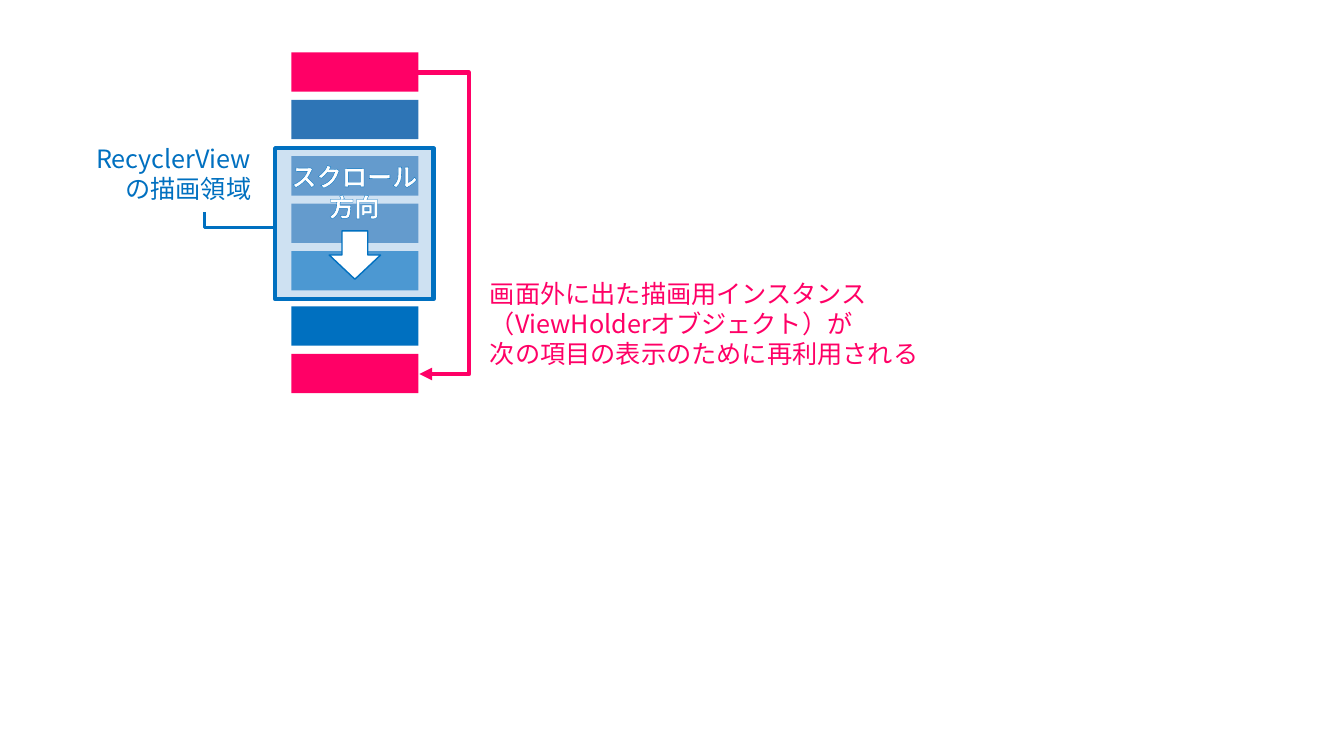
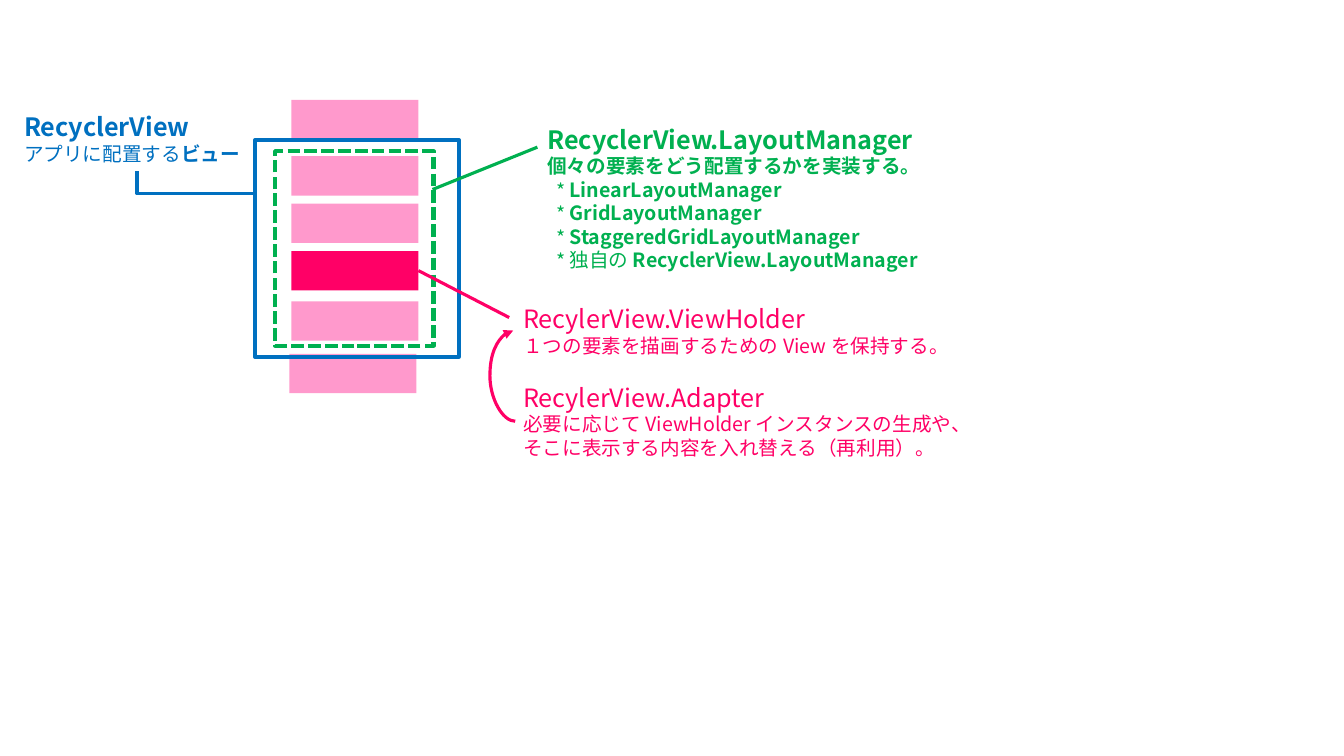
import pptx
import pptx.util
import pptx.dml.color
import pptx.enum.dml
import pptx.enum.shapes
import pptx.enum.text
import pptx.oxml.ns
import lxml.etree

Inches = pptx.util.Inches
Pt = pptx.util.Pt
RGBColor = pptx.dml.color.RGBColor
SHAPE = pptx.enum.shapes.MSO_SHAPE
LINK = pptx.enum.shapes.MSO_CONNECTOR
ALIGN = pptx.enum.text.PP_ALIGN
qn = pptx.oxml.ns.qn

FONT = "Noto Sans CJK JP"
BLUE = RGBColor(0x00, 0x70, 0xC0)
STEEL = RGBColor(0x2E, 0x75, 0xB6)
SKY = RGBColor(0x9D, 0xC3, 0xE6)
GREEN = RGBColor(0x00, 0xB0, 0x50)
RED = RGBColor(0xFF, 0x00, 0x66)
PINK = RGBColor(0xFF, 0x99, 0xCC)
WHITE = RGBColor(0xFF, 0xFF, 0xFF)

BAR_LEFT, BAR_WIDE, BAR_HIGH = 2.89, 1.26, 0.39
BAR_RIGHT = BAR_LEFT + BAR_WIDE


def child(parent, tag, **attrs):
    node = lxml.etree.SubElement(parent, qn(tag))
    for key, value in attrs.items():
        node.set(key, str(value))
    return node


def block(slide, box, fill=None, line=None, width=3, kind=SHAPE.RECTANGLE):
    shape = slide.shapes.add_shape(kind, *map(Inches, box))
    shape.shadow.inherit = False
    if fill is None:
        shape.fill.background()
    else:
        shape.fill.solid()
        shape.fill.fore_color.rgb = fill
    if line is None:
        shape.line.fill.background()
    else:
        shape.line.color.rgb = line
        shape.line.width = Pt(width)
    return shape


def stack(slide, bars):
    """Draw the list items, given as (left, top, colour)."""
    return [block(slide, (left, top, BAR_WIDE, BAR_HIGH), fill)
            for left, top, fill in bars]


def link(slide, start, end, colour, width=2.25, kind=LINK.STRAIGHT,
         bend=None, arrow=False):
    """Draw a connector; bend is the x position of its middle part."""
    line = slide.shapes.add_connector(kind, *map(Inches, start + end))
    line.line.color.rgb = colour
    line.line.width = Pt(width)
    props = line.element.spPr
    if arrow:
        child(props.find(qn("a:ln")), "a:tailEnd", type="triangle")
    child(props, "a:effectLst")
    if bend is not None:
        ratio = (bend - start[0]) / (end[0] - start[0])
        guides = props.find(qn("a:prstGeom")).find(qn("a:avLst"))
        child(guides, "a:gd", name="adj1", fmla=f"val {round(ratio * 100000)}")
    return line


def corner(slide, start, end):
    """Draw a blue leader that runs sideways, then up to a label."""
    line = link(slide, start, end, BLUE, kind=LINK.ELBOW)
    line.element.spPr.find(qn("a:prstGeom")).set("prst", "bentConnector2")


def star(para):
    props = para._p.get_or_add_pPr()
    props.set("marL", str(Inches(0.22)))
    props.set("indent", str(Inches(-0.13)))
    child(props, "a:buFont", typeface=FONT)
    child(props, "a:buChar", char="*")


def edge(run, colour):
    """Outline the letters of a run."""
    line = lxml.etree.Element(qn("a:ln"), w=str(Pt(1)))
    child(child(line, "a:solidFill"), "a:srgbClr", val=str(colour))
    run.font._element.insert(0, line)


def label(slide, box, lines, colour, align=ALIGN.LEFT, rim=None):
    """Write (size, text) lines; text between bars is bold, * starts a bullet."""
    frame = slide.shapes.add_textbox(*map(Inches, box)).text_frame
    frame.word_wrap = True
    for index, (size, text) in enumerate(lines):
        para = frame.paragraphs[0] if index == 0 else frame.add_paragraph()
        para.alignment = align
        if text.startswith("*"):
            star(para)
            text = text[1:]
        for part, words in enumerate(text.split("|")):
            if not words:
                continue
            run = para.add_run()
            run.text = words
            run.font.size = Pt(size)
            run.font.bold = part % 2 == 1
            run.font.color.rgb = colour
            run.font.name = FONT
            child(run.font._element, "a:ea", typeface=FONT)
            if rim is not None:
                edge(run, rim)


def window(slide, left, top, wide, high):
    """Draw the visible area with its scroll direction."""
    pane = block(slide, (left, top, wide, high), SKY, BLUE)
    tint = pane.element.spPr.find(qn("a:solidFill"))[0]
    child(tint, "a:alpha", val=49000)
    mid = left + wide / 2
    block(slide, (mid - 0.25, top + 0.82, 0.51, 0.48), WHITE, BLUE, 1,
          SHAPE.DOWN_ARROW)
    label(slide, (mid - 0.85, top + 0.08, 1.7, 0.71),
          [(18, "|スクロール|"), (18, "|方向|")], WHITE, ALIGN.CENTER, BLUE)
    corner(slide, (left, top + 0.79), (left - 0.7, top + 0.63))


def reuse(slide):
    tops = ((0.52, RED), (0.99, STEEL), (1.55, STEEL), (2.02, STEEL),
            (2.49, BLUE), (3.04, BLUE), (3.51, RED))
    stack(slide, [(BAR_LEFT, top, fill) for top, fill in tops])
    window(slide, 2.73, 1.47, 1.57, 1.5)
    label(slide, (0.7, 1.37, 1.89, 0.71),
          [(18, "RecyclerView"), (18, "の描画領域")], BLUE, ALIGN.RIGHT)
    link(slide, (BAR_RIGHT, 0.72), (BAR_RIGHT + 0.01, 3.71), RED, 3,
         LINK.ELBOW, 4.66, True)
    label(slide, (4.76, 2.71, 4.73, 1.01),
          [(18, "画面外に出た描画用インスタンス"),
           (18, "（ViewHolderオブジェクト）が"),
           (18, "次の項目の表示のために再利用される")], RED)


def view(slide, left, top, wide, high):
    """Draw the view frame and the layout frame inside it."""
    inner = block(slide, (left + 0.2, top + 0.11, 1.57, 1.93), line=GREEN)
    inner.line.dash_style = pptx.enum.dml.MSO_LINE.SQUARE_DOT
    block(slide, (left, top, wide, high), line=BLUE)
    corner(slide, (left, top + 0.53), (left - 1.17, top + 0.31))
    link(slide, (left + 1.76, top + 0.49), (left + 2.8, top + 0.07), GREEN)


def parts(slide):
    tops = (0.99, 1.55, 2.02, 2.49, 2.99)
    bars = [(BAR_LEFT, top, RED if top == 2.49 else PINK) for top in tops]
    items = stack(slide, bars + [(2.87, 3.51, PINK)])
    view(slide, 2.53, 1.39, 2.02, 2.15)
    label(slide, (0.14, 1.06, 2.43, 0.64),
          [(18, "|RecyclerView|"), (14, "アプリに配置する|ビュー|")], BLUE)
    label(slide, (5.33, 1.18, 4.02, 1.58),
          [(18, "|RecyclerView.LayoutManager|"),
           (14, "|個々の要素をどう配置するかを実装する。|"),
           (14, "*|LinearLayoutManager|"),
           (14, "*|GridLayoutManager|"),
           (14, "*|StaggeredGridLayoutManager|"),
           (14, "*独自の |RecyclerView.LayoutManager|")], GREEN)
    holder = link(slide, (BAR_RIGHT, 2.69), (5.05, 3.15), RED)
    holder.begin_connect(items[3], 3)
    label(slide, (5.09, 2.96, 5.28, 0.64),
          [(18, "RecylerView.ViewHolder"),
           (14, "１つの要素を描画するための View を保持する。")], RED)
    label(slide, (5.09, 3.74, 5.28, 0.88),
          [(18, "RecylerView.Adapter"),
           (14, "必要に応じて ViewHolder インスタンスの生成や、"),
           (14, "そこに表示する内容を入れ替える（再利用）。")], RED)
    link(slide, (5.11, 4.18), (5.09, 3.28), RED, kind=LINK.CURVE,
         bend=4.86, arrow=True)


def main():
    deck = pptx.Presentation()
    deck.slide_width, deck.slide_height = Inches(13.33), Inches(7.5)
    for draw in (reuse, parts):
        draw(deck.slides.add_slide(deck.slide_layouts[6]))
    deck.save("out.pptx")


if __name__ == "__main__":
    main()
